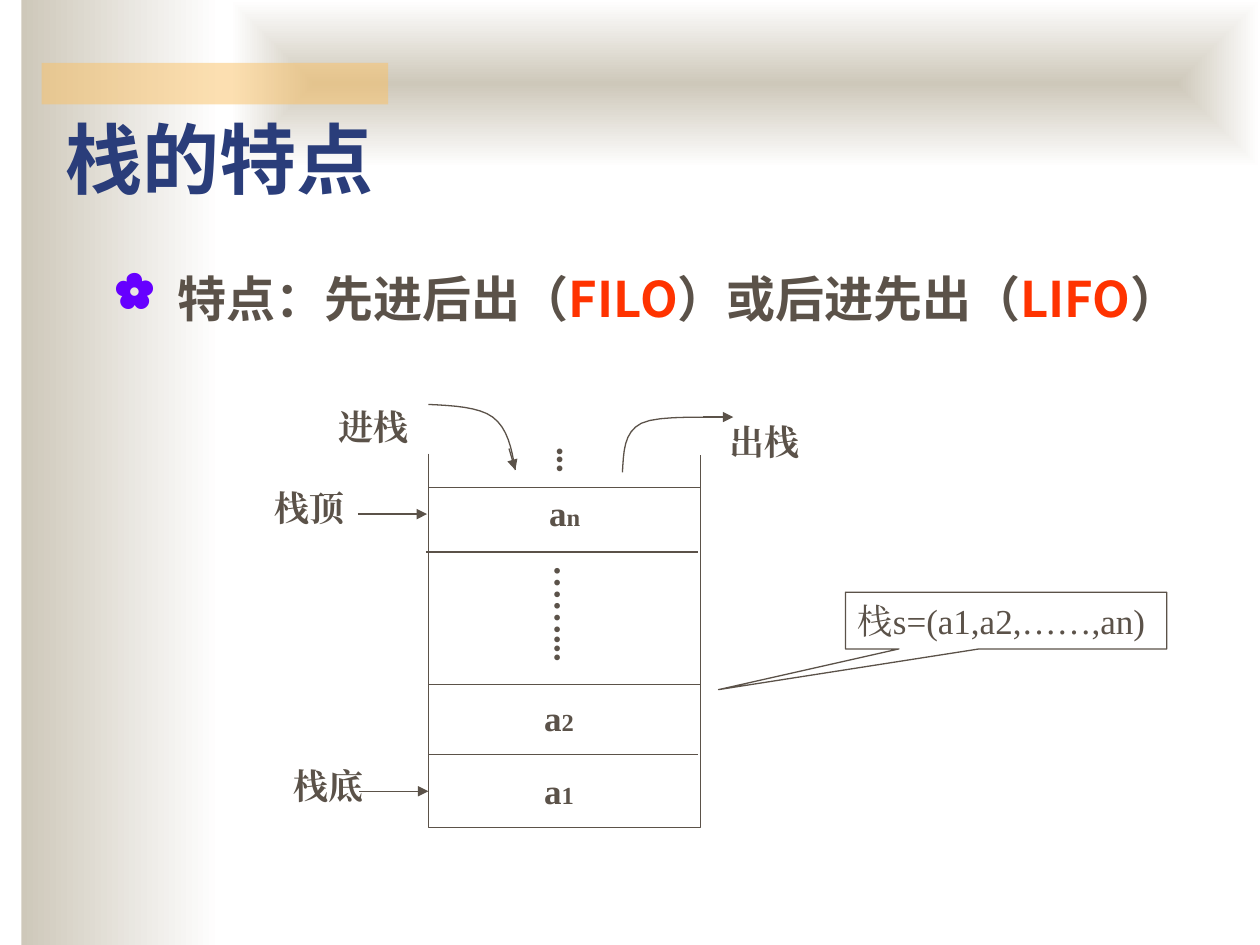
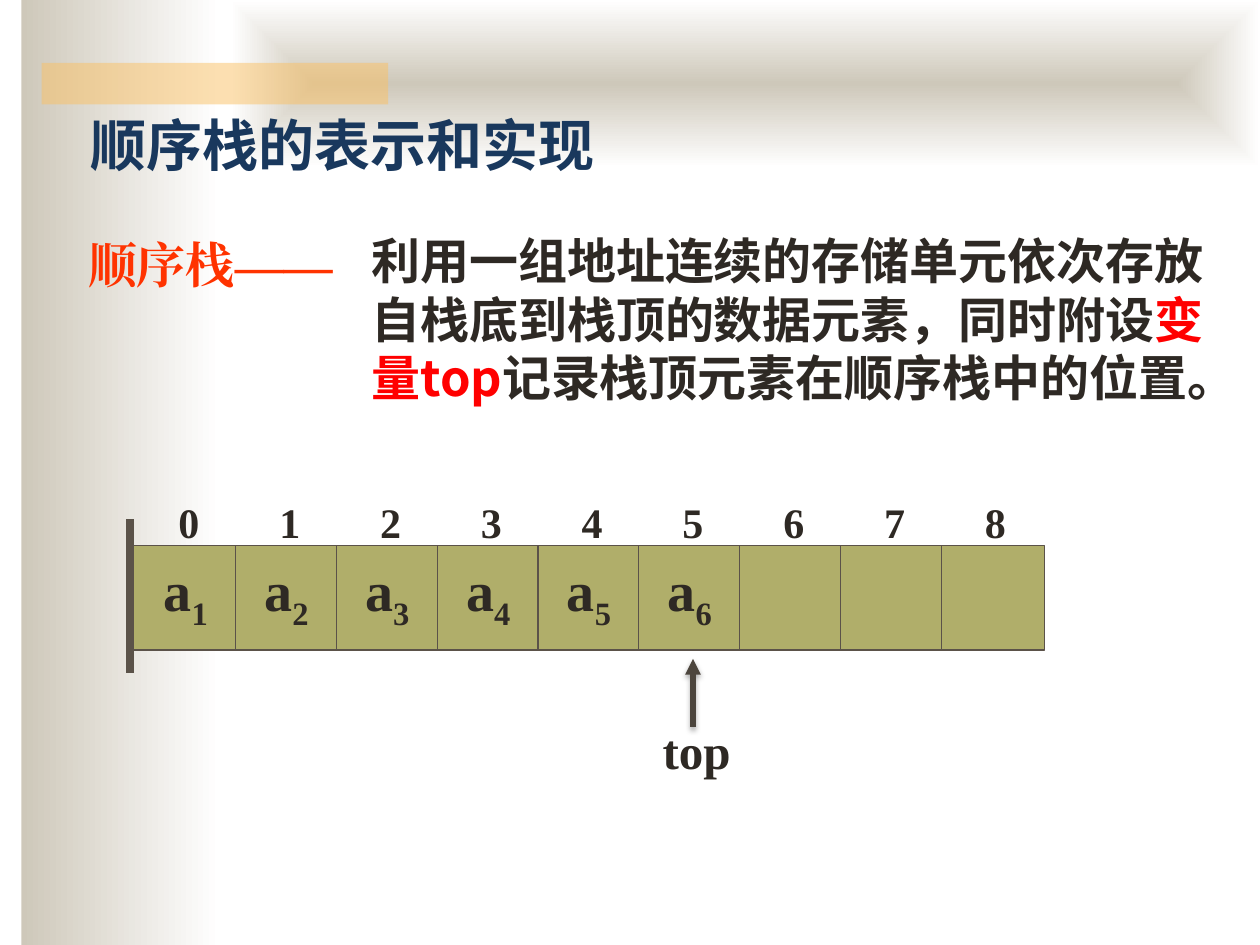
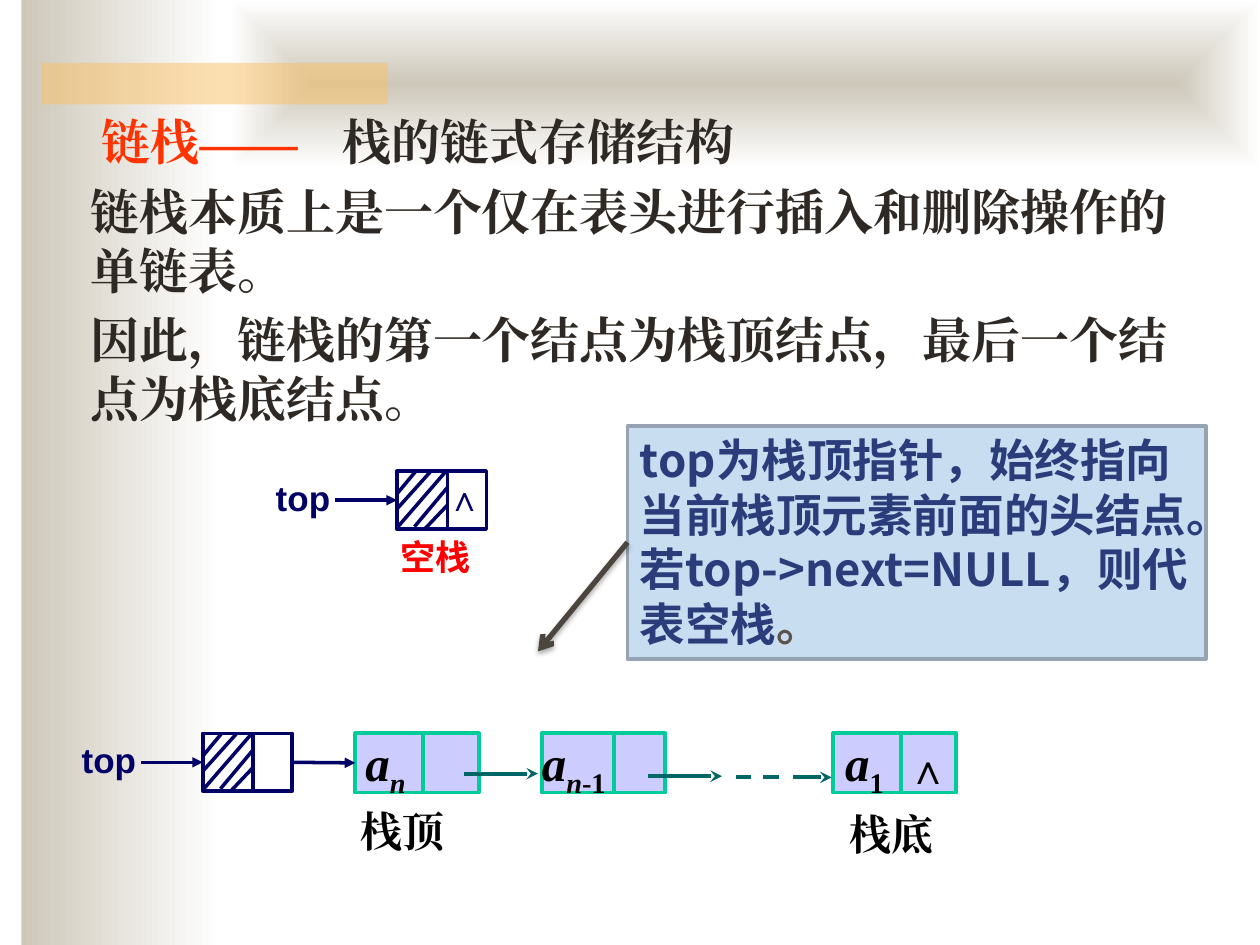
"""Build three slides that explain stacks, array stacks and linked stacks."""
from lxml import etree
from pptx import Presentation
from pptx import util as u
from pptx.dml.color import RGBColor
from pptx.enum import dml, shapes, text
from pptx.oxml.ns import qn

SAND = RGBColor(0xCE, 0xC8, 0xBA)
WHITE = RGBColor(0xFF, 0xFF, 0xFF)
AMBER = RGBColor(0xFA, 0xC1, 0x64)
BROWN = RGBColor(0x5B, 0x52, 0x49)
DARK_BROWN = RGBColor(0x4C, 0x45, 0x3D)
INK = RGBColor(0x2E, 0x29, 0x24)
BLACK = RGBColor(0, 0, 0)
TITLE_BLUE = RGBColor(0x2A, 0x3D, 0x7A)
DEEP_BLUE = RGBColor(0x19, 0x38, 0x5D)
NAVY = RGBColor(0, 0, 0x66)
ORANGE = RGBColor(0xFF, 0x33, 0)
RED = RGBColor(0xFF, 0, 0)
VIOLET = RGBColor(0x66, 0, 0xFF)
OLIVE = RGBColor(0xB0, 0xAE, 0x6A)
LILAC = RGBColor(0xCC, 0xCC, 0xFF)
GREEN = RGBColor(0, 0xCC, 0x99)
TEAL = RGBColor(0, 0x66, 0x66)
PALE_BLUE = RGBColor(0xC9, 0xDD, 0xF1)
STEEL = RGBColor(0x95, 0xA3, 0xB2)

SERIF = "Times New Roman"
SANS = "Noto Sans CJK SC"
ARIAL = "Arial"
TITLE_ONLY, BLANK = 5, 6
SUB = {"sub": True}
TOP, MIDDLE, BOTTOM = (text.MSO_ANCHOR.TOP, text.MSO_ANCHOR.MIDDLE,
                       text.MSO_ANCHOR.BOTTOM)
RECT = shapes.MSO_SHAPE.RECTANGLE


def inches(values):
    return [u.Inches(value) for value in values]


def child(parent, tag, **attributes):
    return etree.SubElement(parent, qn(tag), attributes)


def bezier(start, *curves, steps=8):
    """Return points along a chain of cubic curves."""
    points = [start]
    for controls in curves:
        corners = (points[-1], *controls)
        for step in range(1, steps + 1):
            t = step / steps
            weights = ((1 - t) ** 3, 3 * t * (1 - t) ** 2, 3 * t * t * (1 - t), t ** 3)
            points.append(tuple(sum(w * corner[axis] for w, corner in zip(weights, corners))
                                for axis in (0, 1)))
    return points


class Slides:
    """Hold the shared style and the current slide."""

    def __init__(self):
        self.deck = Presentation()
        self.deck.slide_width, self.deck.slide_height = inches((10, 7.5))
        self.page = None

    def start(self, layout):
        first = self.page is None
        self.page = self.deck.slides.add_slide(self.deck.slide_layouts[layout])
        if first:
            self.bands()

    def bands(self):
        side = self.shape((0.17, 0, 1.58, 7.5))
        top = self.shape((1.83, 0, 8.17, 1.33))
        for band in (side, top):
            band.fill.gradient()
            band.fill.gradient_angle = 0
            for stop, color in zip(band.fill.gradient_stops, (SAND, WHITE)):
                stop.color.rgb = color
        linear = top.element.find(".//" + qn("a:lin"))
        radial = etree.Element(qn("a:path"), {"path": "shape"})
        child(radial, "a:fillToRect", l="50000", t="50000", r="50000", b="50000")
        linear.getparent().replace(linear, radial)
        accent = self.shape((0.33, 0.5, 2.75, 0.33), AMBER)
        child(accent.element.find(".//" + qn("a:srgbClr")), "a:alpha", val="50000")
        for band in (side, top, accent):
            self.deck.slide_master.shapes.element.append(band.element)

    def shape(self, at, fill=None, line=None, width=0.75, kind=RECT):
        box = self.page.shapes.add_shape(kind, *inches(at))
        box.shadow.inherit = False
        if fill is None:
            box.fill.background()
        else:
            box.fill.solid()
            box.fill.fore_color.rgb = fill
        if line is None:
            box.line.fill.background()
        else:
            box.line.color.rgb = line
            box.line.width = u.Pt(width)
        return box

    def set_text(self, box, paragraphs, size, color, font=SERIF, bold=True, anchor=TOP,
                 wrap=True, before=0, leading=None, align=text.PP_ALIGN.LEFT, insets=None):
        frame = box.text_frame
        frame.word_wrap = wrap
        frame.auto_size = (text.MSO_AUTO_SIZE.NONE if wrap
                           else text.MSO_AUTO_SIZE.SHAPE_TO_FIT_TEXT)
        frame.vertical_anchor = anchor
        if insets:
            (frame.margin_left, frame.margin_top,
             frame.margin_right, frame.margin_bottom) = inches(insets)
        for index, spans in enumerate(paragraphs):
            para = frame.add_paragraph() if index else frame.paragraphs[0]
            para.alignment = align
            para.space_before = u.Pt(before)
            para.line_spacing = leading or u.Pt(size * 1.2)
            para.font.size, para.font.bold = u.Pt(size), bold
            para.font.color.rgb = color
            para.font.name = font
            for content, changes in spans:
                span = para.add_run()
                span.text = content
                if "color" in changes:
                    span.font.color.rgb = changes["color"]
                if "size" in changes:
                    span.font.size = u.Pt(changes["size"])
                if "italic" in changes:
                    span.font.italic = changes["italic"]
                if "sub" in changes:
                    span._r.get_or_add_rPr().set("baseline", "-25000")
        for latin in list(box.element.iter(qn("a:latin"))):
            latin.addnext(etree.Element(qn("a:ea"), {"typeface": font}))
        return box

    def title(self, at, words, size, color, anchor):
        box = self.page.shapes.title
        box.left, box.top, box.width, box.height = inches(at)
        self.set_text(box, [[(words, {})]], size, color, SANS, anchor=anchor)

    def label(self, at, words, size, color, **style):
        paragraphs = [[(words, {})]] if isinstance(words, str) else words
        return self.set_text(self.page.shapes.add_textbox(*inches(at)),
                             paragraphs, size, color, **style)

    def dots(self, at, words):
        box = self.label(at, words, 20, BROWN, anchor=MIDDLE, wrap=False)
        box.element.find(".//" + qn("a:bodyPr")).set("vert", "eaVert")

    def bullet(self, box, symbol, color, left, indent):
        properties = box.text_frame.paragraphs[0]._p.get_or_add_pPr()
        properties.set("marL", str(u.Inches(left)))
        properties.set("indent", str(u.Inches(indent)))
        tint = etree.Element(qn("a:buClr"))
        child(tint, "a:srgbClr", val=str(color))
        mark = etree.Element(qn("a:buChar"), {"char": symbol})
        defaults = properties.find(qn("a:defRPr"))
        for part in (tint, mark):
            defaults.addprevious(part)

    def line(self, start, end, color=BROWN, width=0.75, tail=None, dashed=False,
             shadow=False):
        link = self.page.shapes.add_connector(
            shapes.MSO_CONNECTOR.STRAIGHT, *inches((*start, *end)))
        link.line.color.rgb = color
        link.line.width = u.Pt(width)
        if dashed:
            link.line.dash_style = dml.MSO_LINE.DASH
        properties = link.element.spPr
        if tail:
            child(properties.find(qn("a:ln")), "a:tailEnd", type=tail)
        effects = child(properties, "a:effectLst")
        if shadow:
            cast = child(effects, "a:outerShdw", blurRad=str(u.Pt(3.1)),
                         dist=str(u.Pt(1.8)), dir="5400000", rotWithShape="0")
            child(child(cast, "a:srgbClr", val="000000"), "a:alpha", val="35000")
        return link

    def curve(self, points):
        corners = [tuple(inches(point)) for point in points]
        builder = self.page.shapes.build_freeform(*corners[0])
        builder.add_line_segments(corners[1:], close=False)
        outline = builder.convert_to_shape()
        outline.shadow.inherit = False
        outline.fill.background()
        outline.line.color.rgb = BROWN
        outline.line.width = u.Pt(0.75)

    def head_node(self, left, top):
        """Draw a hatched head node with its top pointer."""
        node = self.shape((left, top, 0.71, 0.46), None, NAVY, 2)
        self.line((left + 0.4, top), (left + 0.4, top + 0.46), NAVY, 2)
        for x1, y1, x2, y2 in ((0.15, 0, 0, 0.18), (0.27, 0, 0, 0.3), (0.39, 0, 0, 0.45),
                               (0.4, 0.13, 0.14, 0.44), (0.4, 0.27, 0.22, 0.46)):
            self.line((left + x1, top + y1), (left + x2, top + y2), NAVY, 2)
        self.label((left - 1.06, top - 0.01, 0.64, 0.44), "top", 20, NAVY,
                   font=ARIAL, wrap=False)
        pointer = self.line((left - 0.49, top + 0.23), (left, top + 0.23), NAVY, 2, "triangle")
        pointer.end_connect(node, 1)
        return node

    def list_node(self, left, spans, inset, divider):
        node = self.shape((left, 5.82, 0.98, 0.47), LILAC, GREEN, 2.25)
        self.set_text(node, [[("a", {"italic": True}), *spans]], 28, BLACK,
                      leading=0.9, insets=(inset, 0, 0, 0.08))
        self.line((left + divider, 5.82), (left + divider, 6.29), GREEN, 2.25)
        return node


def stack_features(slides):
    slides.start(TITLE_ONLY)
    slides.title((0.42, 0.25, 9.17, 1.42), "栈的特点", 44, TITLE_BLUE, BOTTOM)
    slides.shape((3.4, 3.87, 2.16, 2.7), None, BROWN)
    for start, end in (((3.38, 4.38), (5.54, 4.38)), ((3.4, 5.43), (5.56, 5.43)),
                       ((3.4, 5.99), (5.54, 5.99)), ((3.4, 3.6), (3.4, 3.95)),
                       ((5.56, 3.87), (5.56, 3.61))):
        slides.line(start, end)
    for left, top, index in ((4.26, 3.85, "n"), (4.22, 5.48, "2"), (4.22, 6.06, "1")):
        slides.label((left, top, 0.45, 0.43), [[("a", {}), (index, {"size": 14})]],
                     20, BROWN, anchor=MIDDLE, wrap=False)
    slides.dots((4.25, 4.39, 0.53, 0.86), "……...")
    slides.dots((4.27, 3.45, 0.53, 0.31), "...")
    for left, top, words in ((2.23, 6.02, "栈底"), (2.08, 3.81, "栈顶"),
                             (5.69, 3.29, "出栈"), (2.59, 3.17, "进栈")):
        slides.label((left, top, 0.76, 0.43), words, 20, BROWN, anchor=MIDDLE, wrap=False)
    slides.curve(bezier((3.4, 3.21), ((3.6, 3.22), (3.8, 3.23), (3.91, 3.31)),
                        ((4.03, 3.4), (4.06, 3.56), (4.09, 3.73))))
    slides.curve(bezier((4.94, 3.75), ((4.95, 3.59), (4.95, 3.43), (5.09, 3.36)),
                        ((5.23, 3.29), (5.67, 3.32), (5.77, 3.31))))
    for start, end in (((2.85, 6.28), (3.4, 6.28)), ((2.84, 4.08), (3.39, 4.08)),
                       ((4.04, 3.56), (4.09, 3.73)), ((5.58, 3.31), (5.82, 3.31))):
        slides.line(start, end, tail="triangle")
    callout = slides.shape((6.71, 4.7, 2.55, 0.45), None, BROWN,
                           kind=shapes.MSO_SHAPE.RECTANGULAR_CALLOUT)
    callout.adjustments[0], callout.adjustments[1] = -0.895, 1.219
    slides.set_text(callout, [[("栈s=(a1,a2,……,an)", {})]], 20, BROWN, bold=False,
                    anchor=MIDDLE, wrap=False)
    accent = {"color": ORANGE}
    feature = slides.label(
        (0.42, 2.08, 9.1, 0.77),
        [[("特点：先进后出（", {}), ("FILO", accent), ("）或后进先出（", {}),
          ("LIFO", accent), ("）", {})]], 28, BROWN, font=SANS)
    slides.bullet(feature, "✿", VIOLET, 0.89, -0.5)


def array_stack(slides):
    slides.start(TITLE_ONLY)
    slides.title((0.62, 0.83, 6.42, 0.63), "顺序栈的表示和实现", 32, DEEP_BLUE, TOP)
    slides.label((0.6, 1.81, 2.51, 0.57), "顺序栈——", 28, ORANGE)
    slides.label((2.85, 1.78, 7.04, 1.51),
                 [[("利用一组地址连续的存储单元依次存放自栈底到栈顶的数据元素，同时附设", {}),
                   ("变量top", {"color": RED}),
                   ("记录栈顶元素在顺序栈中的位置。", {})]], 28, INK, font=SANS)
    slides.shape((1.05, 4.33, 7.24, 0.83), OLIVE, BROWN)
    pitch = 0.8
    for index in range(9):
        slides.label((1.25 + index * pitch, 3.89, 0.5, 0.5), str(index), 24, INK,
                     align=text.PP_ALIGN.CENTER)
    for index in range(8):
        x = 1.87 + index * pitch
        slides.line((x, 4.33), (x, 5.17))
    slides.line((1.03, 4.12), (1.03, 5.34), width=4.5)
    for index in range(6):
        slides.label((1.2 + index * pitch, 4.43, 0.65, 0.63),
                     [[("a", {}), (str(index + 1), SUB)]], 32, INK)
    slides.line((5.5, 5.77), (5.5, 5.23), DARK_BROWN, 3, "triangle", shadow=True)
    slides.label((5.16, 5.67, 0.79, 0.57), "top", 28, INK)


def linked_stack(slides):
    slides.start(BLANK)
    slides.label((0.71, 0.84, 2.51, 0.57), "链栈——", 28, ORANGE)
    slides.label((2.62, 0.84, 6.22, 0.57), "栈的链式存储结构", 28, INK)
    slides.label((0.62, 1.39, 9.11, 2.07),
                 [[("链栈本质上是一个仅在表头进行插入和删除操作的单链表。", {})],
                  [("因此，链栈的第一个结点为栈顶结点，最后一个结点为栈底结点。", {})]],
                 28, INK, before=6)
    upright = {"sub": True, "italic": False}
    slanted = {"sub": True, "italic": True}
    slides.list_node(6.61, [("1", upright)], 0.1, 0.54)
    slides.list_node(4.3, [("n", slanted), ("-1", upright)], 0, 0.57)
    first = slides.list_node(2.82, [("n", slanted)], 0.08, 0.54)
    slides.label((7.1, 5.84, 0.49, 0.5), "∧", 24, BLACK)
    slides.line((5.84, 6.17), (6.2, 6.17), TEAL, 2.25, dashed=True)
    for left, right, y in ((6.29, 6.6, 6.17), (3.68, 4.27, 6.14), (5.14, 5.73, 6.16)):
        slides.line((left, y), (right, y), TEAL, 2.25, "stealth")
    for left, top, words in ((2.86, 6.39, "栈顶"), (6.74, 6.42, "栈底")):
        slides.label((left, top, 0.9, 0.4), words, 24, BLACK, insets=(0, 0, 0, 0))
    slides.head_node(3.15, 3.74)
    slides.label((3.45, 3.73, 0.48, 0.43), "∧", 20, NAVY, font=ARIAL, wrap=False)
    slides.label((3.08, 4.2, 0.77, 0.44), "空栈", 20, RED, font=ARIAL, wrap=False)
    head = slides.head_node(1.61, 5.82)
    link = slides.line((2.32, 6.05), (2.82, 6.05), NAVY, 2, "triangle")
    link.begin_connect(head, 3)
    link.end_connect(first, 1)
    note = slides.shape((4.98, 3.38, 4.59, 1.85), PALE_BLUE, STEEL, 2)
    slides.set_text(note, [[("top为栈顶指针，始终指向当前栈顶元素前面的头结点。"
                             "若top->next=NULL，则代表空栈", {}), ("。", {"color": BROWN})]],
                    26, TITLE_BLUE, SANS)
    arrow = slides.line((4.98, 4.31), (4.27, 5.17), DARK_BROWN, 3, "arrow", shadow=True)
    arrow.begin_connect(note, 1)


def main():
    slides = Slides()
    stack_features(slides)
    array_stack(slides)
    linked_stack(slides)
    slides.deck.save("out.pptx")


if __name__ == "__main__":
    main()
